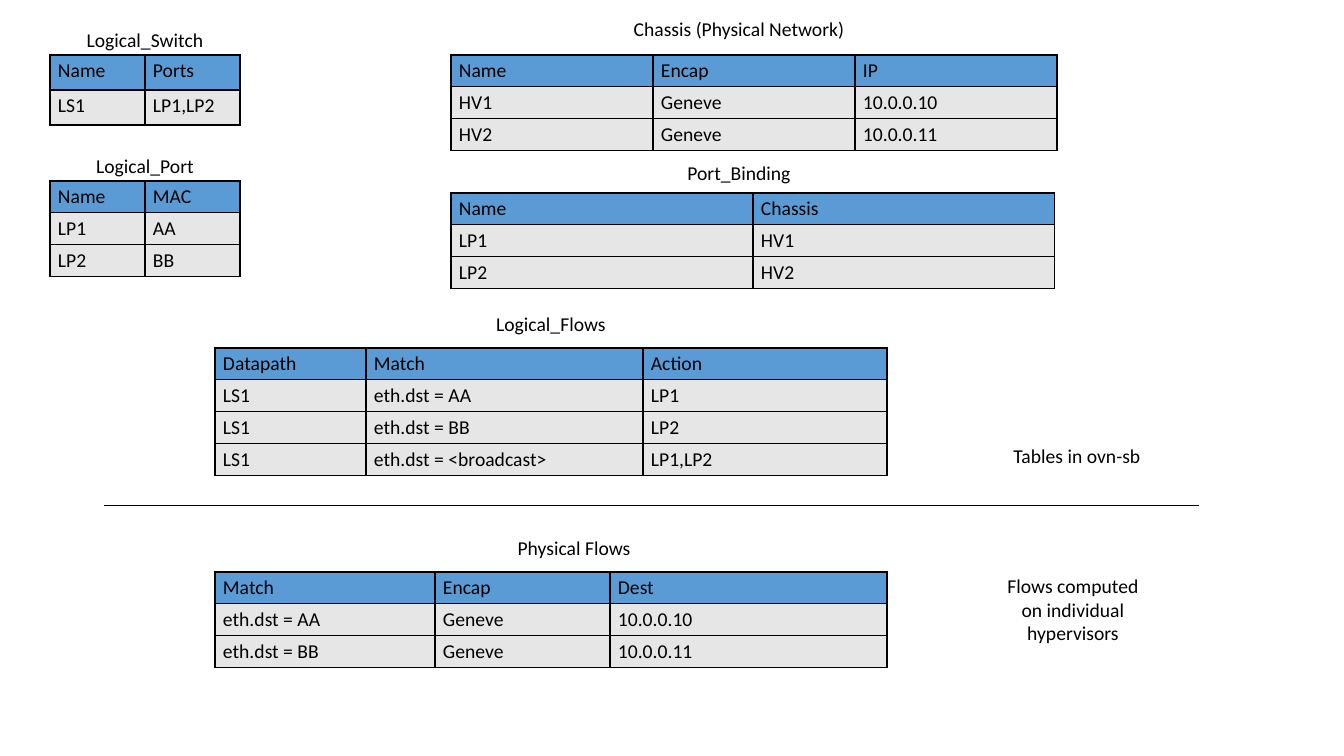
from lxml.etree import SubElement
from pptx import Presentation
from pptx.dml.color import RGBColor
from pptx.enum.shapes import MSO_CONNECTOR as Connector
from pptx.enum.text import PP_ALIGN as Align
from pptx.oxml.ns import qn
from pptx.util import Emu, Pt

COLORS = {"header": "5B9BD5", "body": "E7E6E6", "ink": "000000"}
FONT = "Calibri"
TEXT_SIZE = 14
SLIDE_SIZE = (1344, 756)
CELL_MARGINS = (8, 4)
LABEL_MARGINS = (7, 4)
DIVIDER = (104, 505, 1199, 505)

TABLES = [
    {"at": (50, 55), "columns": (95, 95), "row_height": 35,
     "rows": [("Name", "Ports"), ("LS1", "LP1,LP2")]},
    {"at": (50, 181), "columns": (95, 95), "row_height": 31,
     "rows": [("Name", "MAC"), ("LP1", "AA"), ("LP2", "BB")]},
    {"at": (215, 348), "columns": (151, 277, 244), "row_height": 31,
     "rows": [("Datapath", "Match", "Action"),
              ("LS1", "eth.dst = AA", "LP1"),
              ("LS1", "eth.dst = BB", "LP2"),
              ("LS1", "eth.dst = <broadcast>", "LP1,LP2")]},
    {"at": (451, 55), "columns": (202, 202, 202), "row_height": 31,
     "rows": [("Name", "Encap", "IP"),
              ("HV1", "Geneve", "10.0.0.10"),
              ("HV2", "Geneve", "10.0.0.11")]},
    {"at": (451, 193), "columns": (302, 302), "row_height": 31,
     "rows": [("Name", "Chassis"), ("LP1", "HV1"), ("LP2", "HV2")]},
    {"at": (215, 572), "columns": (220, 175, 277), "row_height": 31,
     "rows": [("Match", "Encap", "Dest"),
              ("eth.dst = AA", "Geneve", "10.0.0.10"),
              ("eth.dst = BB", "Geneve", "10.0.0.11")]},
]

LABELS = [
    ("Logical_Switch", (50, 24, 190, 31)),
    ("Logical_Port", (50, 150, 190, 31)),
    ("Logical_Flows", (456, 308, 190, 31)),
    ("Chassis (Physical Network)", (591, 13, 296, 31)),
    ("Port_Binding", (591, 157, 296, 31)),
    ("Physical Flows", (426, 532, 296, 31)),
    ("Tables in ovn-sb", (982, 440, 190, 31)),
    ("Flows computed\von individual hypervisors", (982, 570, 182, 76)),
]


def px(length):
    return Emu(round(length * 914400 / 100.8))


def color(name):
    return RGBColor.from_string(COLORS[name])


def set_margins(target, margins):
    target.margin_left = target.margin_right = px(margins[0])
    target.margin_top = target.margin_bottom = px(margins[1])


def format_text(text_frame, alignment):
    for paragraph in text_frame.paragraphs:
        paragraph.alignment = alignment
        for run in paragraph.runs:
            run.font.name = FONT
            run.font.size = Pt(TEXT_SIZE)
            run.font.color.rgb = color("ink")


def add_borders(cell):
    properties = cell._tc.get_or_add_tcPr()
    for side in ("a:lnL", "a:lnR", "a:lnT", "a:lnB"):
        border = SubElement(properties, qn(side), w=str(Pt(1)))
        fill = SubElement(border, qn("a:solidFill"))
        SubElement(fill, qn("a:srgbClr"), val=COLORS["ink"])


def add_grid(slide, at, columns, row_height, rows):
    left, top = at
    table = slide.shapes.add_table(
        len(rows), len(columns), px(left), px(top),
        px(sum(columns)), px(row_height * len(rows))).table
    table.first_row = False
    table.horz_banding = False
    for column, width in zip(table.columns, columns):
        column.width = px(width)
    for row_index, values in enumerate(rows):
        table.rows[row_index].height = px(row_height)
        for column_index, value in enumerate(values):
            cell = table.cell(row_index, column_index)
            cell.text_frame.text = value
            format_text(cell.text_frame, Align.LEFT)
            set_margins(cell, CELL_MARGINS)
            add_borders(cell)
            cell.fill.solid()
            cell.fill.fore_color.rgb = color("body" if row_index else "header")


def add_label(slide, text, box):
    text_frame = slide.shapes.add_textbox(*map(px, box)).text_frame
    text_frame.word_wrap = True
    set_margins(text_frame, LABEL_MARGINS)
    text_frame.text = text
    format_text(text_frame, Align.CENTER)


def add_divider(slide):
    divider = slide.shapes.add_connector(Connector.STRAIGHT, *map(px, DIVIDER))
    divider.line.color.rgb = color("ink")
    divider.line.width = Pt(0.5)
    SubElement(divider._element.spPr, qn("a:effectLst"))


def main():
    presentation = Presentation()
    presentation.slide_width, presentation.slide_height = map(px, SLIDE_SIZE)
    slide = presentation.slides.add_slide(presentation.slide_layouts[6])
    for table in TABLES:
        add_grid(slide, **table)
    for text, box in LABELS:
        add_label(slide, text, box)
    add_divider(slide)
    presentation.save("out.pptx")


if __name__ == "__main__":
    main()
